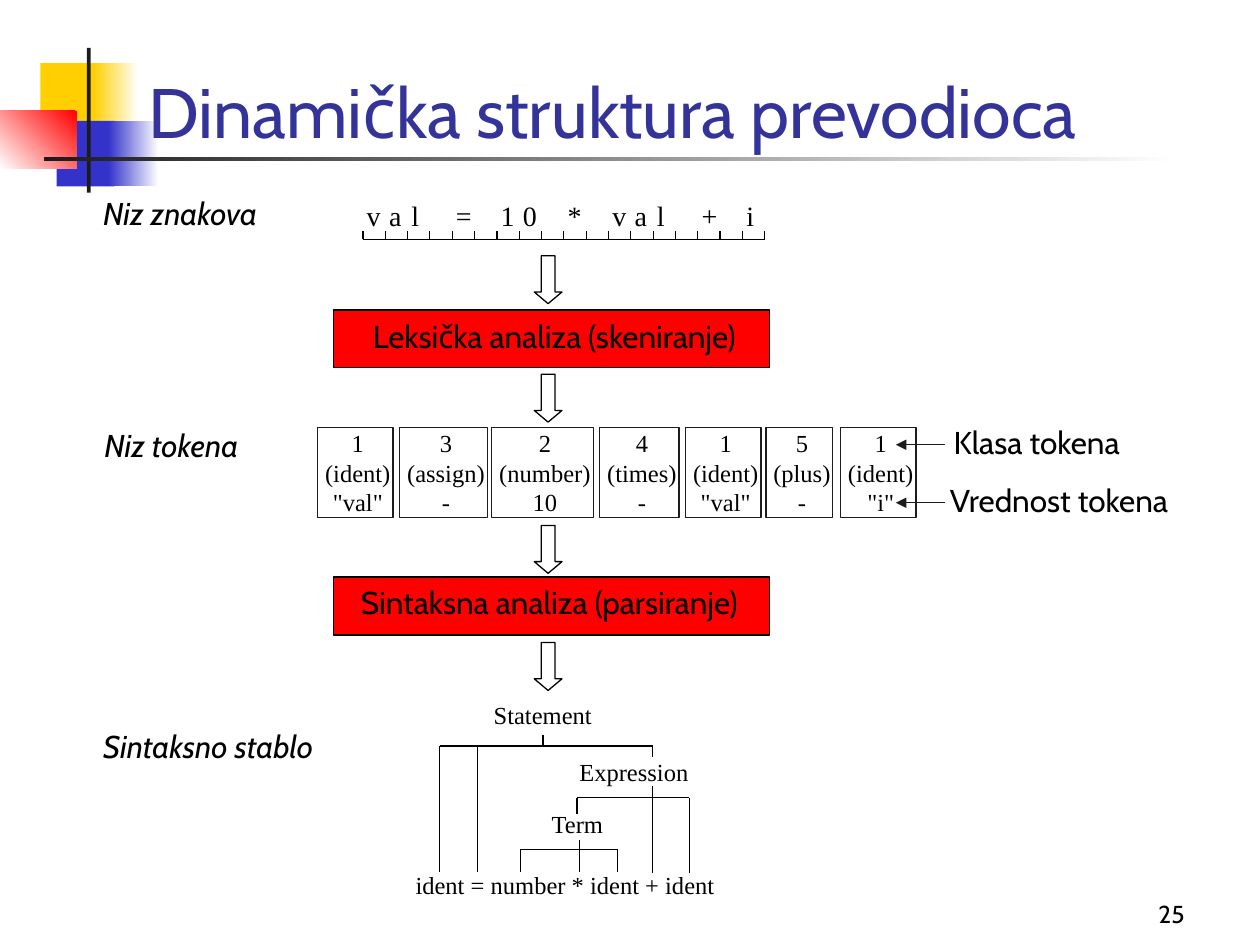
from lxml import etree
from pptx import Presentation
from pptx.dml.color import RGBColor
from pptx.enum import shapes, text
from pptx.oxml.ns import qn
from pptx.util import Inches, Pt

SANS, SERIF = "Cabin", "Times New Roman"
BLACK, DARK, WHITE, RED = "000000", "1C1C1C", "FFFFFF", "FF0000"
LEFT, CENTER, RIGHT = text.PP_ALIGN.LEFT, text.PP_ALIGN.CENTER, text.PP_ALIGN.RIGHT

# left, top, width, height, colours (two make a gradient), clockwise angle
DECOR = [
    (0.32, 0.5, 0.48, 0.52, ["FFCF01"], 0),
    (0.74, 0.5, 0.36, 0.52, [WHITE, "FFCF01"], 180),
    (0.45, 0.96, 0.46, 0.52, ["3333CC"], 0),
    (0.86, 0.96, 0.4, 0.52, [WHITE, "3333CC"], 180),
    (0, 0.88, 0.61, 0.46, [RED, WHITE], 135),
    (0.69, 0.38, 0.03, 1.15, [DARK], 0),
    (0.35, 1.25, 9, 0.03, [WHITE, DARK], 180),
]
TITLE = "Dinamička struktura prevodioca"
SOURCE_CODE = "val = 10 * val + i"

# text, left, top, width
STAGE_LABELS = [
    ("Niz znakova", 0.72, 1.49, 1.6),
    ("Niz tokena", 0.73, 3.33, 1.4),
    ("Sintaksno stablo", 0.72, 5.72, 2.02),
]
TOKEN_LABELS = [
    ("Klasa tokena", 7.47, 3.31, 1.69),
    ("Vrednost tokena", 7.44, 3.77, 2.14),
]
TREE_LABELS = [
    ("Statement", 3.82, 5.51, 1.1),
    ("Expression", 4.5, 5.96, 1.2),
    ("Term", 4.28, 6.37, 0.75),
    ("ident = number * ident + ident", 3.2, 6.86, 2.8),
]
# text, text left, text top, text width, bar top
PHASES = [
    ("Leksička analiza (skeniranje)", 2.65, 2.47, 3.5, 2.46),
    ("Sintaksna analiza (parsiranje)", 2.55, 4.58, 3.62, 4.58),
]
ARROW_TOPS = [2.03, 2.97, 4.17, 5.1]
# left, width, lines
TOKENS = [
    (2.52, 0.6, ["1", "(ident)", '"val"']),
    (3.17, 0.7, ["3", "(assign)", "-"]),
    (3.9, 0.81, ["2", "(number)", "10"]),
    (4.76, 0.63, ["4", "(times)", "-"]),
    (5.44, 0.6, ["1", "(ident)", '"val"']),
    (6.08, 0.53, ["5", "(plus)", "-"]),
    (6.67, 0.6, ["1", "(ident)", '"i"']),
]
# x1, y1, x2, y2
TREE_LINES = [
    (4.31, 5.83, 4.31, 5.92), (3.49, 5.92, 5.18, 5.92),
    (3.49, 5.92, 3.49, 6.92), (3.79, 5.92, 3.79, 6.92),
    (5.18, 5.92, 5.18, 6.01), (5.18, 6.24, 5.18, 6.93),
    (4.58, 6.33, 5.47, 6.33), (4.58, 6.33, 4.58, 6.46),
    (5.47, 6.33, 5.47, 6.93), (4.13, 6.74, 4.9, 6.74),
    (4.13, 6.74, 4.13, 6.92), (4.6, 6.67, 4.6, 6.92),
    (4.9, 6.74, 4.9, 6.92),
]


def rgb(value):
    return RGBColor.from_string(value)


def write(shape, lines, font, size, color=BLACK, align=LEFT, italic=False):
    shape.text_frame.text = "\n".join(lines)
    for para in shape.text_frame.paragraphs:
        para.alignment = align
        para.font.name, para.font.size = font, Pt(size)
        para.font.color.rgb = rgb(color)
        para.font.italic = italic


def set_frame(shape, insets):
    frame = shape.text_frame
    frame.word_wrap = True
    frame.auto_size = text.MSO_AUTO_SIZE.NONE
    frame.vertical_anchor = text.MSO_ANCHOR.TOP
    (frame.margin_left, frame.margin_top,
     frame.margin_right, frame.margin_bottom) = map(Inches, insets)


def add_label(page, words, left, top, width, height=0.4, font=SANS, size=18,
              insets=(0.1, 0.05, 0.1, 0.05), **style):
    box = page.shapes.add_textbox(*map(Inches, (left, top, width, height)))
    set_frame(box, insets)
    write(box, [words], font, size, **style)
    return box


def add_block(page, kind, frame, fills=(), angle=0, outline=None):
    block = page.shapes.add_shape(kind, *map(Inches, frame))
    block.shadow.inherit = False
    if len(fills) == 2:
        block.fill.gradient()
        block.fill.gradient_angle = (360 - angle) % 360
        for position, (stop, color) in enumerate(zip(block.fill.gradient_stops, fills)):
            stop.position, stop.color.rgb = position, rgb(color)
    elif fills:
        block.fill.solid()
        block.fill.fore_color.rgb = rgb(fills[0])
    else:
        block.fill.background()
    if outline:
        block.line.color.rgb, block.line.width = rgb(outline), Pt(0.75)
    else:
        block.line.fill.background()
    return block


def add_line(page, ends, color=BLACK, arrow=False):
    line = page.shapes.add_connector(shapes.MSO_CONNECTOR.STRAIGHT, *map(Inches, ends))
    line.line.color.rgb, line.line.width = rgb(color), Pt(0.75)
    properties = line.element.spPr
    if arrow:
        etree.SubElement(properties.find(qn("a:ln")), qn("a:tailEnd"), type="triangle")
    etree.SubElement(properties, qn("a:effectLst"))


def add_heading(page):
    rect = shapes.MSO_SHAPE.RECTANGLE
    for *frame, fills, angle in DECOR:
        add_block(page, rect, frame, fills, angle)
    title = page.shapes.title
    title.left, title.top, title.width, title.height = map(Inches, (1.08, 0, 8.52, 1.26))
    write(title, [TITLE], SANS, 40, "333399")
    title.text_frame.vertical_anchor = text.MSO_ANCHOR.BOTTOM
    title.element.getparent().append(title.element)  # in front of the ornament


def add_characters(page):
    start, end, base = 2.88, 6.07, 1.9
    step = (end - start) / len(SOURCE_CODE)
    add_line(page, (start, base, end, base))
    for index in range(len(SOURCE_CODE) + 1):
        x = start + index * step
        add_line(page, (x, base, x, base - 0.07))
    for index, char in enumerate(SOURCE_CODE):
        if char != " ":
            add_label(page, char, start + index * step + 0.03, 1.58, 0.15, 0.27,
                      SERIF, 16, (0, 0, 0, 0))


def add_phases(page):
    for words, left, top, width, bar_top in PHASES:
        add_block(page, shapes.MSO_SHAPE.RECTANGLE, (2.65, bar_top, 3.46, 0.46), [RED],
                  outline=BLACK)
        add_label(page, words, left, top, width, align=CENTER)
    for top in ARROW_TOPS:
        arrow = add_block(page, shapes.MSO_SHAPE.DOWN_ARROW, (4.24, top, 0.22, 0.38),
                          outline=BLACK)
        arrow.adjustments[0], arrow.adjustments[1] = 0.5, 0.42


def add_tokens(page):
    for left, width, lines in TOKENS:
        token = add_block(page, shapes.MSO_SHAPE.RECTANGLE, (left, 3.39, width, 0.72),
                          outline=DARK)
        set_frame(token, (0.04, 0.01, 0, 0.01))
        write(token, lines, SERIF, 14, align=CENTER)
    for label in TOKEN_LABELS:
        add_label(page, *label)
        y = label[2] + 0.22
        add_line(page, (7.5, y, 7.11, y), DARK, arrow=True)


def add_tree(page):
    for ends in TREE_LINES:
        add_line(page, ends)
    for label in TREE_LABELS:
        add_label(page, *label, height=0.34, font=SERIF, size=14)


def main():
    deck = Presentation()
    deck.slide_width, deck.slide_height = Inches(10), Inches(7.5)
    page = deck.slides.add_slide(deck.slide_layouts[5])
    add_heading(page)
    for label in STAGE_LABELS:
        add_label(page, *label, italic=True)
    add_characters(page)
    add_phases(page)
    add_tokens(page)
    add_tree(page)
    number = add_label(page, "25", 8.42, 6.92, 1.08, 0.5, size=14, align=RIGHT)
    number.text_frame.vertical_anchor = text.MSO_ANCHOR.BOTTOM
    deck.save("out.pptx")


if __name__ == "__main__":
    main()
